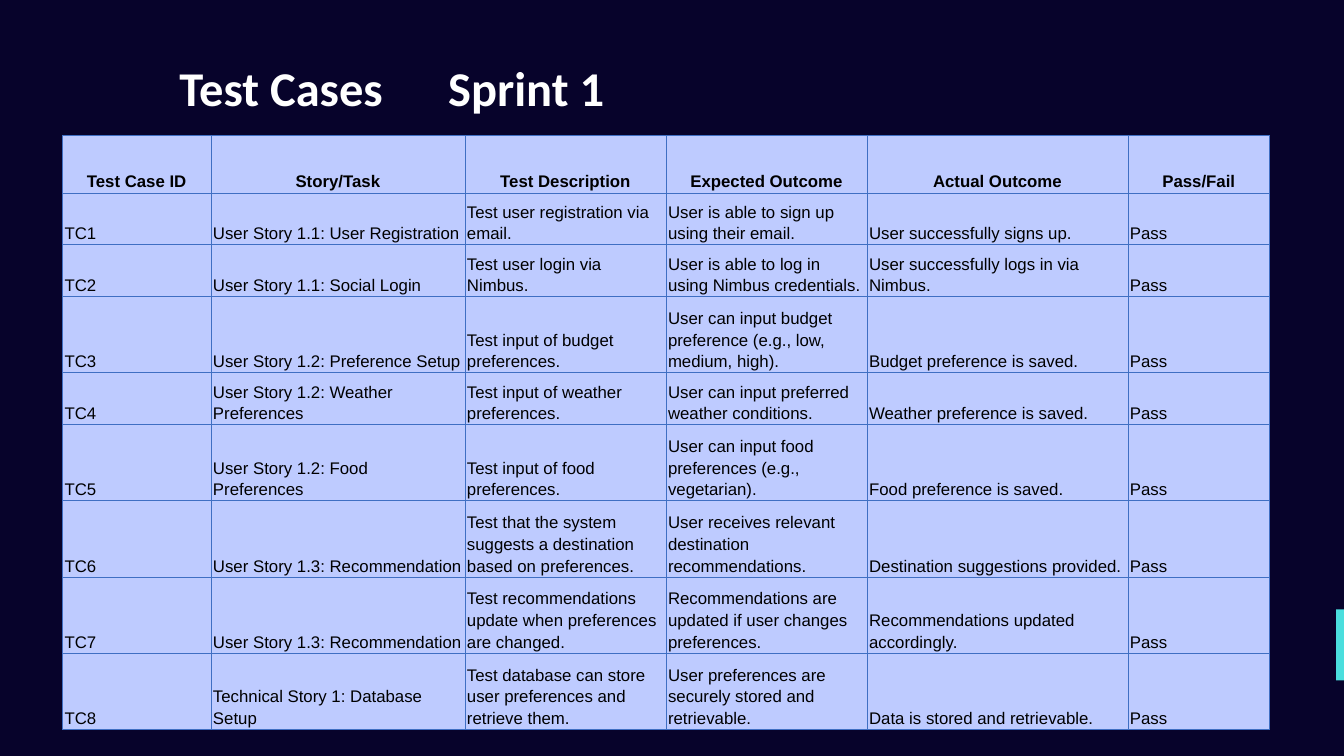
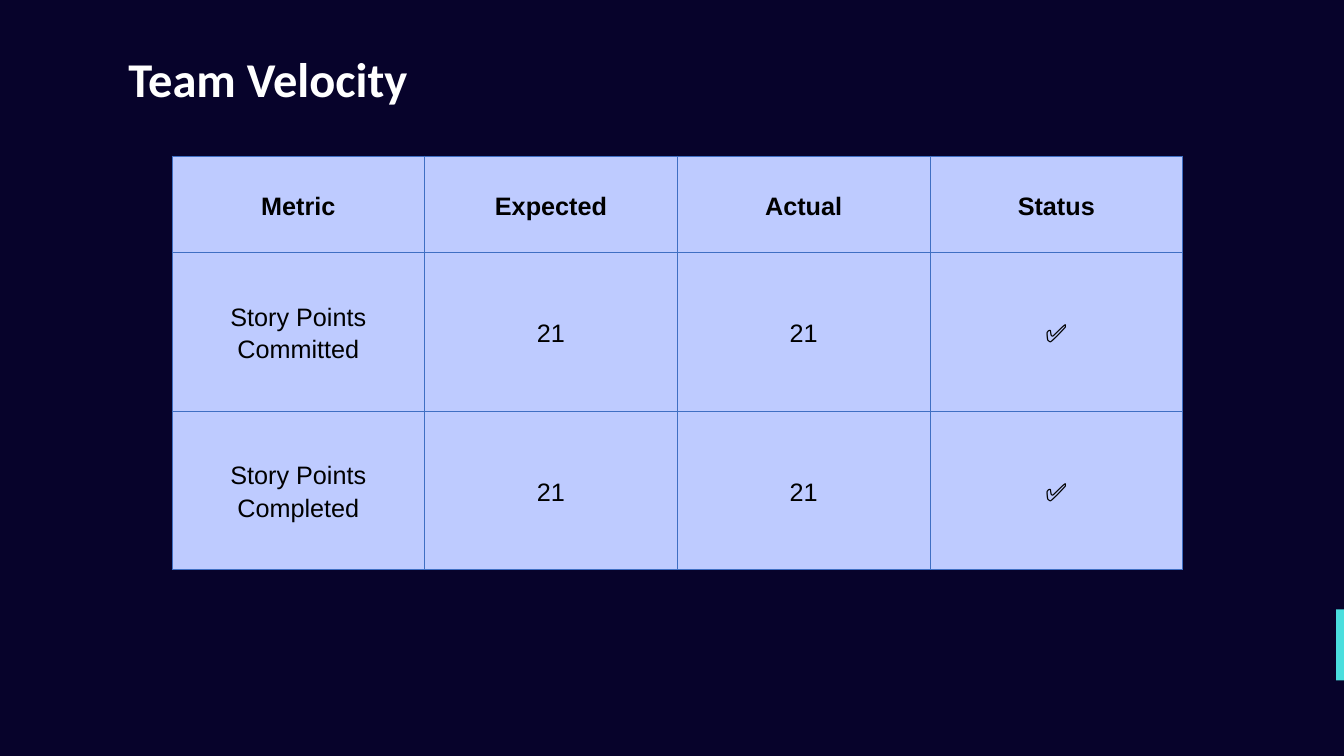
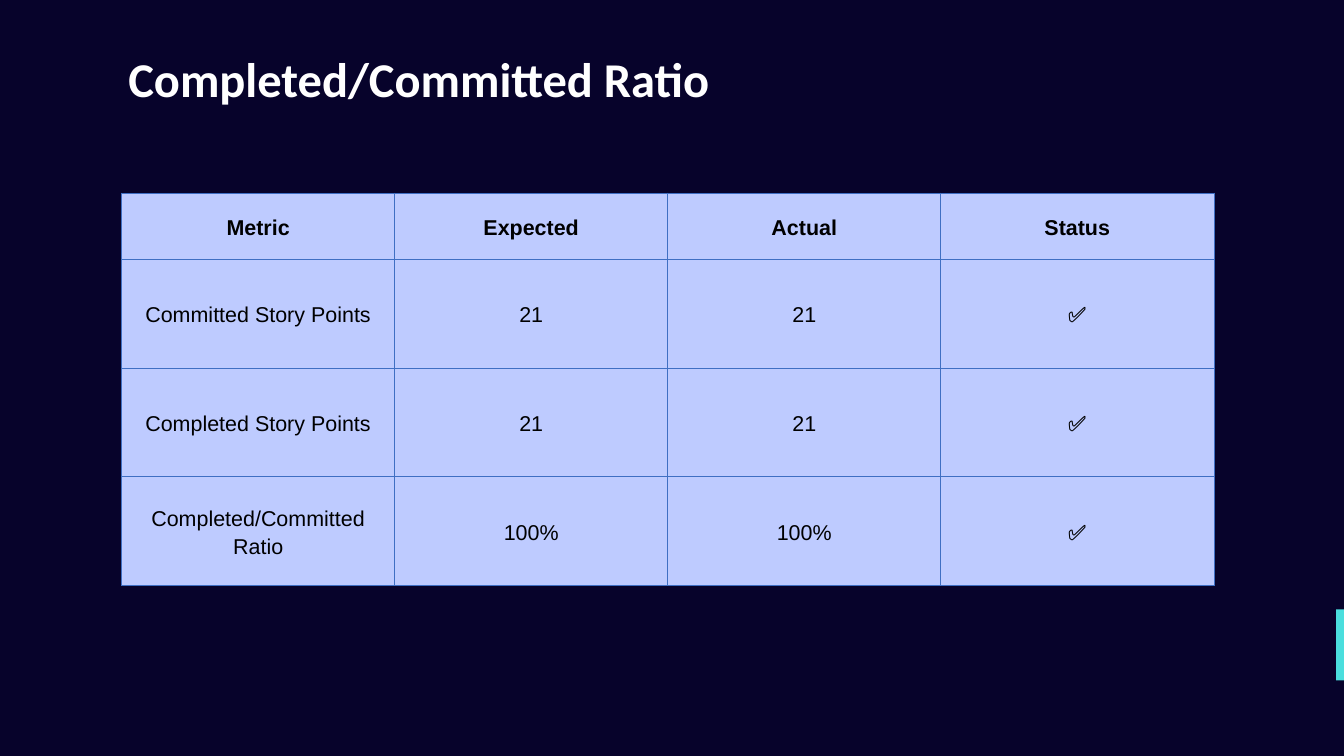
from dataclasses import dataclass

from pptx import Presentation
from pptx import util as u
from pptx.dml.color import RGBColor
from pptx.enum import shapes, text
from pptx.oxml.ns import qn
from lxml import etree


# Theme: colours, fonts and type sizes
@dataclass(frozen=True)
class Theme:
    back: str = "07032B"
    bar: str = "4ADEDD"
    cell: str = "BECBFF"
    rule: str = "3F6FC3"
    ink: str = "000000"
    light: str = "FFFFFF"
    head_font: str = "Calibri"
    body_font: str = "Arial"
    head_size: float = 52
    rule_width: float = 0.75
    spacing: float = 1.15


THEME = Theme()


@dataclass(frozen=True)
class Grid:
    """A table; lengths in centimetres."""
    left: float
    top: float
    cols: list[float]
    rows: list[float]
    cells: list[tuple[str, ...]]
    size: float
    anchor: text.MSO_ANCHOR = text.MSO_ANCHOR.MIDDLE
    align: text.PP_ALIGN = text.PP_ALIGN.CENTER


@dataclass(frozen=True)
class Page:
    title: str
    grid: Grid
    left: float = 4.6
    top: float = 1.6


# Content
CASES = [
    ("User Story 1.1: User Registration", "Test user registration via email.",
     "User is able to sign up using their email.", "User successfully signs up."),
    ("User Story 1.1: Social Login", "Test user login via Nimbus.",
     "User is able to log in using Nimbus credentials.",
     "User successfully logs in via Nimbus."),
    ("User Story 1.2: Preference Setup", "Test input of budget preferences.",
     "User can input budget preference (e.g., low, medium, high).",
     "Budget preference is saved."),
    ("User Story 1.2: Weather Preferences", "Test input of weather preferences.",
     "User can input preferred weather conditions.", "Weather preference is saved."),
    ("User Story 1.2: Food Preferences", "Test input of food preferences.",
     "User can input food preferences (e.g., vegetarian).",
     "Food preference is saved."),
    ("User Story 1.3: Recommendation",
     "Test that the system suggests a destination based on preferences.",
     "User receives relevant destination recommendations.",
     "Destination suggestions provided."),
    ("User Story 1.3: Recommendation",
     "Test recommendations update when preferences are changed.",
     "Recommendations are updated if user changes preferences.",
     "Recommendations updated accordingly."),
    ("Technical Story 1: Database Setup",
     "Test database can store user preferences and retrieve them.",
     "User preferences are securely stored and retrievable.",
     "Data is stored and retrievable."),
]
CASE_HEAD = ("Test Case ID", "Story/Task", "Test Description",
             "Expected Outcome", "Actual Outcome", "Pass/Fail")
CASE_ROWS = [(f"TC{i}", *case, "Pass") for i, case in enumerate(CASES, 1)]


def metrics(**kwargs: str) -> list[tuple[str, ...]]:
    """Rows of metrics whose actual value meets the expected one."""
    names, goals = kwargs["names"].split("|"), kwargs["goals"].split("|")
    body = [(name, goal, goal, "✅") for name, goal in zip(names, goals)]
    return [("Metric", "Expected", "Actual", "Status"), *body]


PAGES = [
    Page("Test Cases \tSprint 1",
         Grid(2.36, 5.11, [5.61, 9.6, 7.6, 7.6, 9.86, 5.36],
              [2.18, 1.96, 1.96, 2.88, 1.96] + [2.88] * 4,
              [CASE_HEAD, *CASE_ROWS], 18,
              text.MSO_ANCHOR.BOTTOM, text.PP_ALIGN.LEFT),
         left=6.53, top=1.96),
    Page("Team Velocity",
         Grid(6.5, 5.89, [9.55] * 4, [3.66] + [5.99] * 2,
              metrics(names="Story Points Committed|Story Points Completed",
                      goals="21|21"), 27)),
    Page("Completed/Committed Ratio",
         Grid(4.6, 7.29, [10.32] * 4, [2.51] + [4.11] * 3,
              metrics(names="Committed Story Points|Completed Story Points|"
                            "Completed/Committed Ratio",
                      goals="21|21|100%"), 23)),
]


# Drawing
def style(para, face: str, size: float, colour: str, bold: bool) -> None:
    for run in para.runs:
        font = run.font
        font.name, font.size, font.bold = face, u.Pt(size), bold
        font.color.rgb = RGBColor.from_string(colour)


def draw_bar(slide) -> None:
    bar = slide.shapes.add_shape(shapes.MSO_SHAPE.RECTANGLE, u.Cm(50.5),
                                 u.Cm(23.04), u.Cm(0.3), u.Cm(2.68))
    bar.shadow.inherit = False
    bar.fill.solid()
    bar.fill.fore_color.rgb = RGBColor.from_string(THEME.bar)
    bar.line.fill.background()


def draw_title(slide, page: Page) -> None:
    title = slide.shapes.title
    title.left, title.top = u.Cm(page.left), u.Cm(page.top)
    title.width, title.height = u.Cm(26.37), u.Cm(3.48)
    frame = title.text_frame
    frame.text = page.title
    frame.word_wrap = True
    frame.auto_size = text.MSO_AUTO_SIZE.NONE
    frame.vertical_anchor = text.MSO_ANCHOR.TOP
    frame.margin_left = frame.margin_right = u.Cm(0.25)
    frame.margin_top = frame.margin_bottom = u.Cm(0.25)
    para = frame.paragraphs[0]
    para.alignment = text.PP_ALIGN.LEFT
    if "\t" in page.title:
        tabs = etree.SubElement(para._p.get_or_add_pPr(), qn("a:tabLst"))
        etree.SubElement(tabs, qn("a:tab"), pos=str(u.Cm(10.16)), algn="l")
    style(para, THEME.head_font, THEME.head_size, THEME.light, True)


def add_rules(cell) -> None:
    props = cell._tc.get_or_add_tcPr()
    for side in ("lnL", "lnR", "lnT", "lnB"):
        line = etree.SubElement(props, qn(f"a:{side}"),
                                w=str(u.Pt(THEME.rule_width)))
        fill = etree.SubElement(line, qn("a:solidFill"))
        etree.SubElement(fill, qn("a:srgbClr"), val=THEME.rule)


def draw_cell(cell, words: str, grid: Grid, head: bool) -> None:
    add_rules(cell)
    cell.fill.solid()
    cell.fill.fore_color.rgb = RGBColor.from_string(THEME.cell)
    cell.margin_left = cell.margin_right = u.Cm(0.08)
    cell.margin_top = cell.margin_bottom = u.Cm(0.05)
    cell.vertical_anchor = grid.anchor
    cell.text_frame.text = words
    para = cell.text_frame.paragraphs[0]
    para.alignment = text.PP_ALIGN.CENTER if head else grid.align
    para.line_spacing = THEME.spacing
    style(para, THEME.body_font, grid.size, THEME.ink, head)


def draw_grid(slide, grid: Grid) -> None:
    table = slide.shapes.add_table(
        len(grid.rows), len(grid.cols), u.Cm(grid.left), u.Cm(grid.top),
        u.Cm(sum(grid.cols)), u.Cm(sum(grid.rows))).table
    table.horz_banding = False
    for col, width in zip(table.columns, grid.cols):
        col.width = u.Cm(width)
    for r, (height, line) in enumerate(zip(grid.rows, grid.cells)):
        table.rows[r].height = u.Cm(height)
        for c, words in enumerate(line):
            draw_cell(table.cell(r, c), words, grid, head=r == 0)


def main() -> None:
    deck = Presentation()
    deck.slide_width, deck.slide_height = u.Cm(50.8), u.Cm(28.58)
    back = deck.slide_master.background.fill
    back.solid()
    back.fore_color.rgb = RGBColor.from_string(THEME.back)
    layout = deck.slide_layouts.get_by_name("Title Only")
    for page in PAGES:
        slide = deck.slides.add_slide(layout)
        draw_bar(slide)
        draw_title(slide, page)
        draw_grid(slide, page.grid)
    deck.save("out.pptx")


if __name__ == "__main__":
    main()
